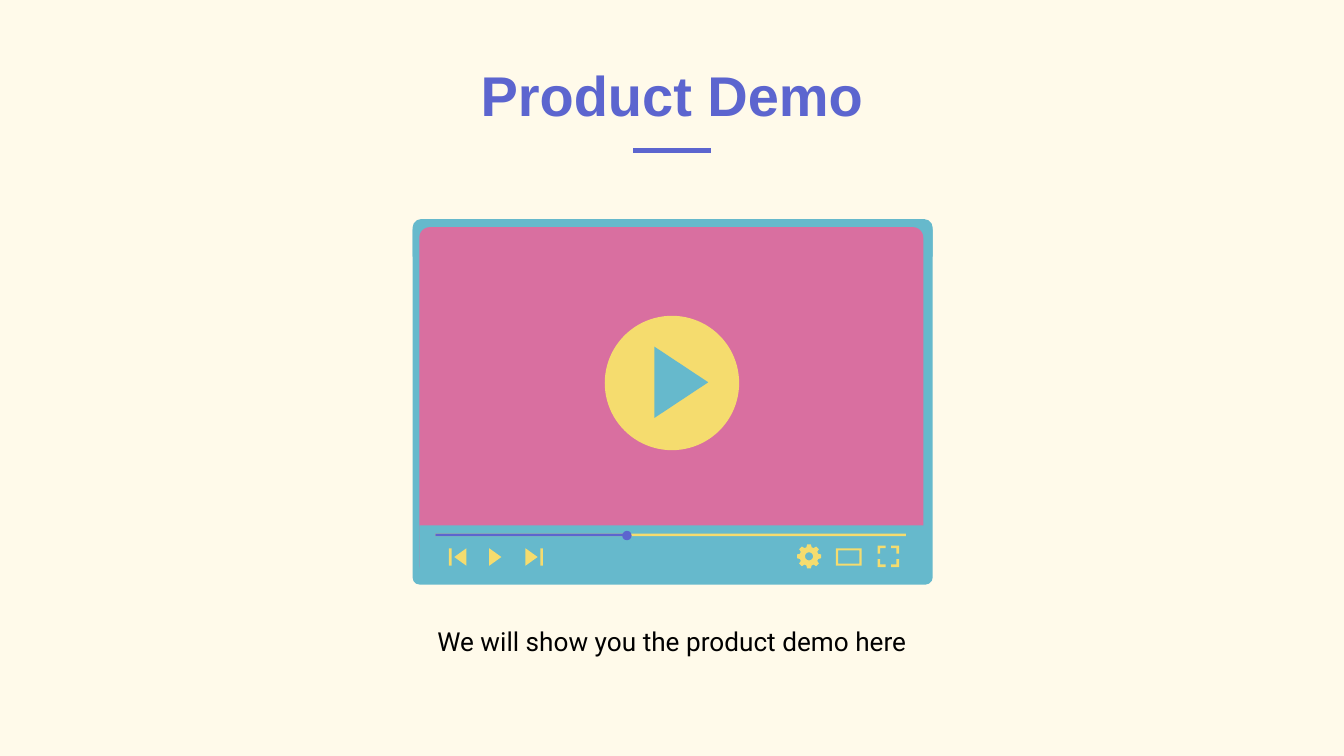
from math import cos, radians, sin
from lxml.etree import SubElement
from pptx import Presentation
from pptx.dml.color import RGBColor
from pptx.enum.shapes import MSO_CONNECTOR, MSO_SHAPE
from pptx.enum.text import MSO_ANCHOR, PP_ALIGN
from pptx.oxml.ns import qn
from pptx.util import Inches, Pt

CREAM, VIOLET, BLUE = "FFFAEA", "5C65CF", "66B9CC"
PINK, YELLOW, BLACK = "D96FA0", "F5DC6E", "000000"


def paint(fill, color):
    fill.solid()
    fill.fore_color.rgb = RGBColor.from_string(color)


def write(holder, words, box, size, face, color, bold=False,
          anchor=MSO_ANCHOR.TOP, after=0):
    holder.left, holder.top, holder.width, holder.height = map(Inches, box)
    frame = holder.text_frame
    frame.word_wrap = True
    frame.vertical_anchor = anchor
    frame.margin_left = frame.margin_right = Inches(0.1)
    frame.margin_top = frame.margin_bottom = Inches(0.1)
    frame.text = words
    para = frame.paragraphs[0]
    para.alignment = PP_ALIGN.CENTER
    para.space_before = Pt(0)
    para.space_after = Pt(after)
    font = para.runs[0].font
    font.name, font.size, font.bold = face, Pt(size), bold
    paint(font.fill, color)


deck = Presentation()
deck.slide_width = Inches(10)
deck.slide_height = Inches(10) * 9 // 16
slide = deck.slides.add_slide(deck.slide_layouts[0])
paint(slide.background.fill, CREAM)

write(slide.shapes.title, "Product Demo", (0.78, 0.22, 8.44, 0.83), 30, "Arial",
      VIOLET, bold=True, anchor=MSO_ANCHOR.BOTTOM)
write(slide.placeholders[1], "We will show you the product demo here",
      (2.27, 4.55, 5.46, 0.64), 14, "Roboto", BLACK, after=16)

rule = slide.shapes.add_connector(
    MSO_CONNECTOR.STRAIGHT, Inches(4.71), Inches(1.12), Inches(5.29), Inches(1.12))
rule.line.width = Pt(3)
paint(rule.line.fill, VIOLET)
SubElement(rule._element.spPr, qn("a:effectLst"))

player = slide.shapes.add_group_shape().shapes
ROUND, RECT = MSO_SHAPE.ROUNDED_RECTANGLE, MSO_SHAPE.RECTANGLE
parts = [
    (ROUND, (3.07, 1.66, 3.87, 2.69), BLUE, 0.02),
    (MSO_SHAPE.ROUND_2_SAME_RECTANGLE, (3.07, 1.63, 3.87, 0.28), BLUE, 0.23),
    (ROUND, (3.12, 1.69, 3.75, 2.59), PINK, 0.03),
    (MSO_SHAPE.OVAL, (4.5, 2.35, 1, 1), YELLOW, None),
    (RECT, (3.12, 3.91, 3.76, 0.43), BLUE, None),
    (RECT, (3.24, 3.97, 3.5, 0.02), YELLOW, None),
    (RECT, (3.24, 3.97, 1.43, 0.02), VIOLET, None),
    (RECT, (4.02, 4.08, 0.02, 0.13), YELLOW, None),
    (RECT, (3.34, 4.08, 0.02, 0.13), YELLOW, None),
    (MSO_SHAPE.FRAME, (6.22, 4.08, 0.19, 0.13), YELLOW, 0.12),
    (MSO_SHAPE.OVAL, (4.63, 3.95, 0.07, 0.07), VIOLET, None),
]
drawn = []
for kind, box, color, bend in parts:
    part = player.add_shape(kind, *map(Inches, box))
    if bend is not None:
        part.adjustments[0] = bend
    drawn.append((part, color))

icons = []
for x, y, wide, high, color in [
    (4.87, 2.58, 0.4, 0.53, BLUE),
    (3.91, 4.08, 0.09, 0.13, YELLOW),
    (3.64, 4.08, 0.09, 0.13, YELLOW),
    (3.47, 4.08, -0.09, 0.13, YELLOW),
]:
    icons.append(([[(x, y), (x, y + high), (x + wide, y + high / 2)]], color))

arm, thick = 0.06, 0.02
for x, across in ((6.53, 1), (6.69, -1)):
    for y, down in ((4.06, 1), (4.22, -1)):
        steps = [(0, 0), (arm, 0), (arm, thick), (thick, thick), (thick, arm), (0, arm)]
        icons.append(([[(x + across * a, y + down * b) for a, b in steps]], YELLOW))

tooth = [(-9, 0.09), (9, 0.09), (16, 0.07), (29, 0.07)]
rim = [(turn + angle, reach) for turn in range(0, 360, 45) for angle, reach in tooth]
hole = [(angle, 0.03) for angle in range(360, 0, -15)]
gear = [[(6.02 + reach * cos(radians(angle)), 4.14 + reach * sin(radians(angle)))
         for angle, reach in ring] for ring in (rim, hole)]
icons.append((gear, YELLOW))

for rings, color in icons:
    rings = [[(Inches(x), Inches(y)) for x, y in ring] for ring in rings]
    pen = player.build_freeform(*rings[0][0])
    pen.add_line_segments(rings[0][1:], close=True)
    for ring in rings[1:]:
        pen.move_to(*ring[0])
        pen.add_line_segments(ring[1:], close=True)
    drawn.append((pen.convert_to_shape(), color))

for part, color in drawn:
    part.shadow.inherit = False
    part.line.fill.background()
    paint(part.fill, color)

deck.save("out.pptx")
